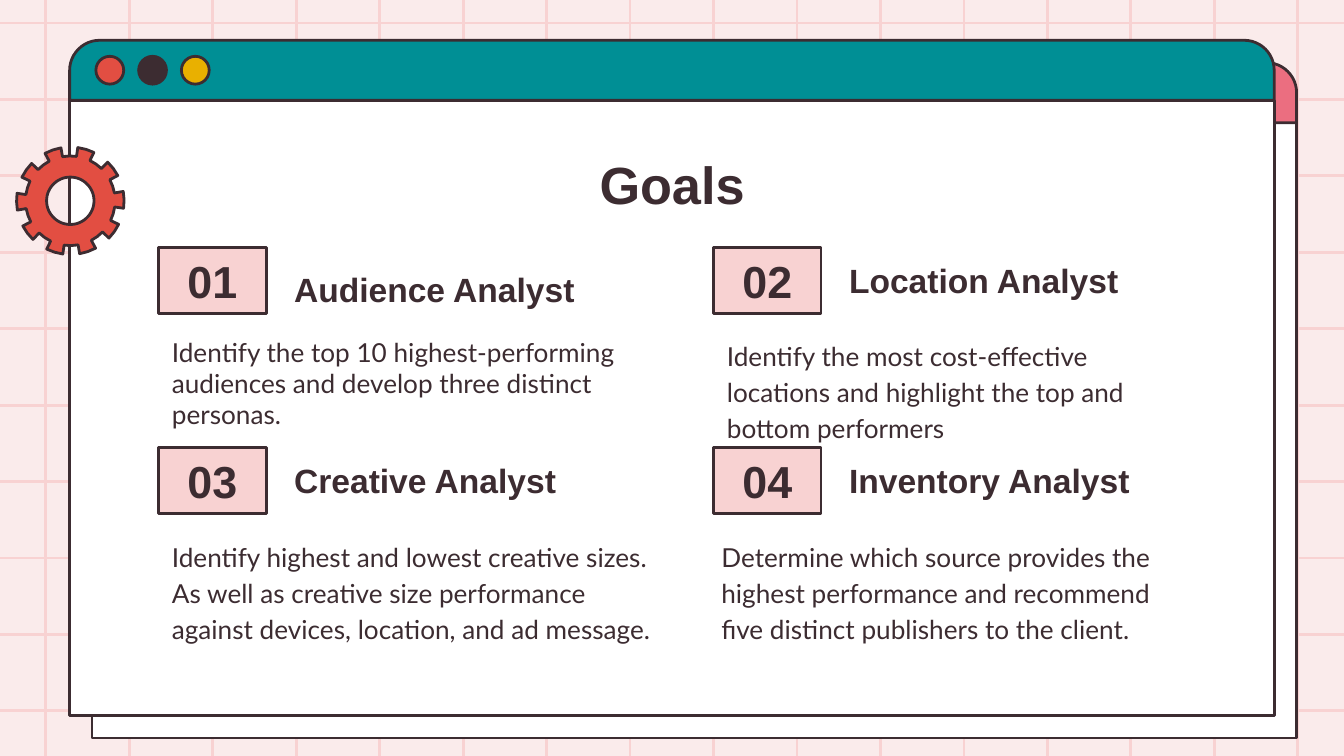
from math import cos, radians, sin

from pptx import Presentation
from pptx.dml.color import RGBColor
from pptx.enum.shapes import MSO_CONNECTOR as Connector, MSO_SHAPE as Shape
from pptx.enum.text import MSO_ANCHOR as Anchor, PP_ALIGN as Align
from pptx.oxml.ns import qn
from pptx.util import Pt

INK, BLUSH, WHITE = "3C2C31", "F8D2D2", "FFFFFF"
RED, TEAL, PINK, YELLOW = "E24E42", "008F95", "EB6E80", "E9B000"

# Browser window
WINDOW_WIDTH, BAR_HEIGHT, PAGE_HEIGHT = 645.3, 32.2, 329.6

# Goals grid
COLUMNS, ROWS = (85, 382.3), (132.4, 239.7)
BADGE_WIDTH, BADGE_HEIGHT = 57.6, 35.4
HEADING_OFFSET, DETAIL_OFFSET, DETAIL_TOPS = 65.5, 40.4, (172.8, 280.1)

# Heading, (top, width, height), detail, (left, width, height), line spacing
GOALS = [
    ("Audience Analyst", (127.4, 187.2, 45.4),
     "Identify the top 10 highest-performing audiences and develop three "
     "distinct personas.", (85, 253.4, 67), 1.0),
    ("Location Analyst", (122.4, 201.6, 45.4),
     "Identify the most cost-effective locations and highlight the top and "
     "bottom performers", (382.3, 253.4, 67), 1.15),
    ("Creative Analyst", (229.7, 187.2, 45.4),
     "Identify highest and lowest creative sizes. As well as creative size "
     "performance against devices, location, and ad message.",
     (85, 278.6, 70.6), 1.15),
    ("Inventory Analyst", (239.7, 201.6, 35.4),
     "Determine which source provides the highest performance and recommend "
     "five distinct publishers to the client.", (379.4, 259.2, 70.6), 1.15),
]


def rgb(hex_colour):
    return RGBColor.from_string(hex_colour)


def paint(shape, fill):
    shape.shadow.inherit = False
    shape.fill.solid()
    shape.fill.fore_color.rgb = rgb(fill)
    shape.line.color.rgb = rgb(INK)
    shape.line.width = Pt(1.5)


def add_outlined(slide, kind, left, top, width, height, fill):
    shape = slide.shapes.add_shape(kind, Pt(left), Pt(top), Pt(width), Pt(height))
    paint(shape, fill)
    return shape


def write(shape, text, size, font="Arial", bold=True, align=Align.LEFT,
          anchor=Anchor.TOP, spacing=1.0):
    frame = shape.text_frame
    frame.word_wrap = True
    frame.vertical_anchor = anchor
    frame.margin_left = frame.margin_right = Pt(7.2)
    frame.margin_top = frame.margin_bottom = Pt(7.2)
    frame.text = text
    paragraph = frame.paragraphs[0]
    paragraph.alignment = align
    paragraph.line_spacing = spacing
    run_font = paragraph.runs[0].font
    run_font.name, run_font.size, run_font.bold = font, Pt(size), bold
    run_font.color.rgb = rgb(INK)


def add_text(slide, left, top, width, height, text, size, **style):
    box = slide.shapes.add_textbox(Pt(left), Pt(top), Pt(width), Pt(height))
    write(box, text, size, **style)


def add_grid_line(slide, x1, y1, x2, y2):
    line = slide.shapes.add_connector(
        Connector.STRAIGHT, Pt(x1), Pt(y1), Pt(x2), Pt(y2))
    line.line.color.rgb = rgb(BLUSH)
    line.line.width = Pt(1.5)
    properties = line._element.spPr
    properties.append(properties.makeelement(qn("a:effectLst"), {}))


def add_grid(slide):
    for column in range(16):
        x = 24.6 + 44.71 * column
        add_grid_line(slide, x, 419, x, -26)
    for row in range(10):
        y = 12.3 + 40.95 * row
        add_grid_line(slide, -16, y, 736, y)


def add_window(slide, left, top, bar_fill):
    add_outlined(slide, Shape.RECTANGLE, left, top + BAR_HEIGHT,
                 WINDOW_WIDTH, PAGE_HEIGHT, WHITE)
    bar = add_outlined(slide, Shape.ROUND_2_SAME_RECTANGLE, left, top,
                       WINDOW_WIDTH, BAR_HEIGHT, bar_fill)
    bar.adjustments[0] = 0.5


def add_gear(slide, centre_x, centre_y):
    def point(radius, angle):
        return (Pt(centre_x + radius * cos(radians(angle))),
                Pt(centre_y + radius * sin(radians(angle))))

    # Ten teeth, each followed by a gap of equal angle
    rim = [point(radius, 36 * tooth + angle)
           for tooth in range(10)
           for radius, angles in ((28.8, (-10, -1, 8)), (24, (8, 17, 26)))
           for angle in angles]
    hole = [point(12.7, -angle) for angle in range(0, 360, 6)]
    builder = slide.shapes.build_freeform(*rim[0], scale=1.0)
    builder.add_line_segments(rim[1:], close=True)
    builder.move_to(*hole[0])
    builder.add_line_segments(hole[1:], close=True)
    paint(builder.convert_to_shape(), RED)


def add_goal(slide, index, heading, heading_box, detail, detail_box, spacing):
    row, column = divmod(index, 2)
    left, top = COLUMNS[column], ROWS[row]
    badge = add_outlined(slide, Shape.RECTANGLE, left, top,
                         BADGE_WIDTH, BADGE_HEIGHT, BLUSH)
    write(badge, f"{index + 1:02}", 24, align=Align.CENTER, anchor=Anchor.MIDDLE)
    add_text(slide, left + HEADING_OFFSET, *heading_box, heading, 18,
             anchor=Anchor.BOTTOM)
    detail_left, width, height = detail_box
    add_text(slide, detail_left, top + DETAIL_OFFSET, width, height, detail, 14,
             font="Lato", bold=False, spacing=spacing)


def main():
    deck = Presentation()
    deck.slide_width, deck.slide_height = Pt(720), Pt(405)
    slide = deck.slides.add_slide(deck.slide_layouts[6])

    # Squared paper background
    slide.background.fill.solid()
    slide.background.fill.fore_color.rgb = rgb("FAEBEB")
    add_grid(slide)

    # Stacked windows, with buttons on the front one
    add_window(slide, 49.3, 33.6, PINK)
    add_window(slide, 37.3, 21.6, TEAL)
    for index, colour in enumerate((RED, INK, YELLOW)):
        add_outlined(slide, Shape.OVAL, 51.4 + 22.9 * index, 30.2, 14.9, 14.9, colour)

    # Title and goals
    add_text(slide, 70.6, 74.2, 578.9, 45.4, "Goals", 28, align=Align.CENTER)
    for index, goal in enumerate(GOALS):
        add_goal(slide, index, *goal)

    # Gear on the window's edge
    add_gear(slide, 37.7, 107.6)
    deck.save("out.pptx")


if __name__ == "__main__":
    main()
